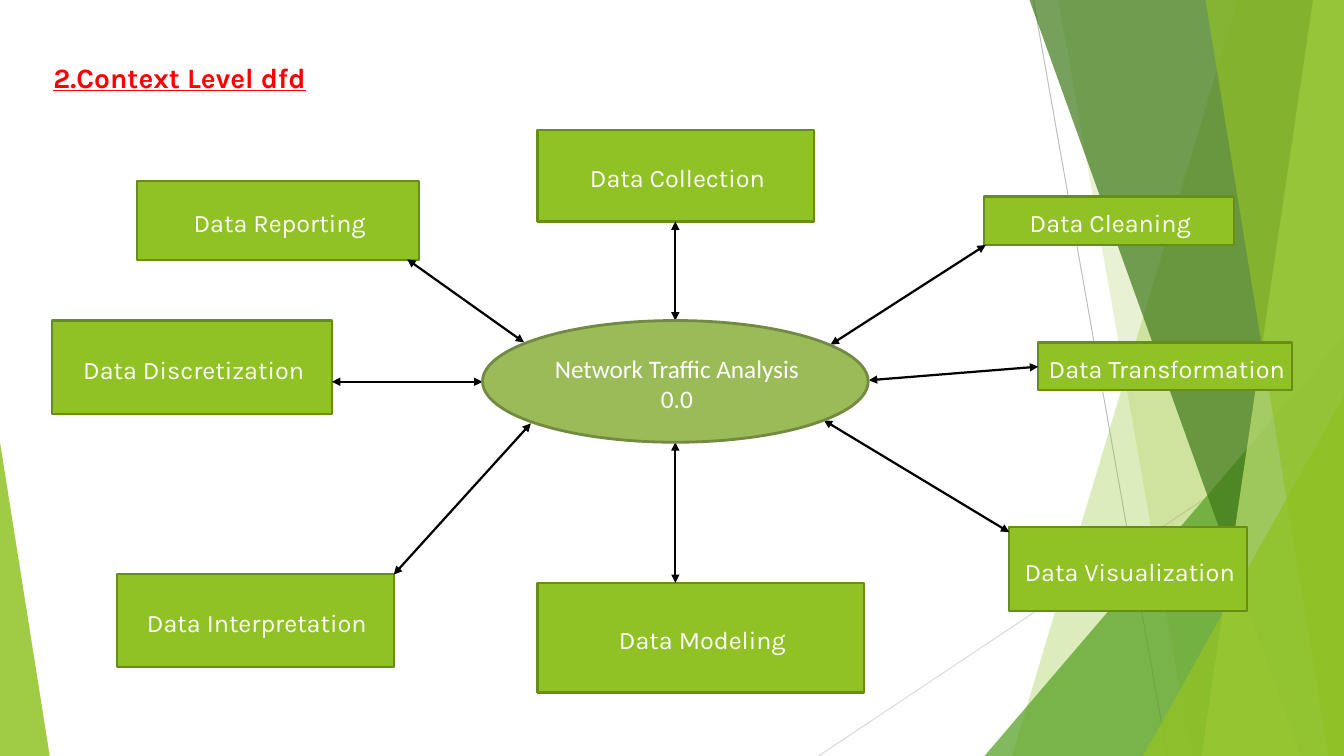
from dataclasses import dataclass

from lxml.etree import SubElement
from pptx import Presentation
from pptx.dml.color import RGBColor
from pptx.enum.shapes import MSO_CONNECTOR as Link, MSO_SHAPE as Preset
from pptx.enum.text import MSO_ANCHOR as Anchor, MSO_AUTO_SIZE as Fit, PP_ALIGN as Align
from pptx.oxml.ns import qn
from pptx.util import Inches, Pt

WIDTH, HEIGHT = Inches(13.333), Inches(7.5)


@dataclass(frozen=True)
class Theme:
    green: str = "90C225"
    green_edge: str = "688E18"
    olive: str = "9BBB59"
    olive_edge: str = "738A42"
    leaf: str = "539F20"
    forest: str = "3E7818"
    lime: str = "C0E374"
    white: str = "FFFFFF"
    black: str = "000000"
    red: str = "FF0000"
    grey: str = "BEBEBE"
    pale_grey: str = "D9D9D9"
    title_size: float = 20
    label_size: float = 18
    label_font: str = "Karla"
    hub_font: str = "Calibri"
    hairline: float = 0.72
    box_line: float = 1.56
    flow_line: float = 1.6
    hub_line: float = 2


THEME = Theme()

# All positions are percentages of the slide's width and height.
# Background facet: colour, opacity, upper and lower end of its slanted edge, side it fills to
FACETS = [
    (THEME.green, 30, (92.1, 0), (75.3, 100), 100),
    (THEME.green, 20, (78.75, 0), (88.65, 100), 100),
    (THEME.leaf, 72, (100, 44.4), (73.25, 100), 100),
    (THEME.forest, 70, (76.6, 0), (96.8, 100), 100),
    (THEME.lime, 70, (97.7, 0), (89.4, 100), 100),
    (THEME.green, 65, (89.7, 0), (98.85, 100), 100),
    (THEME.green, 80, (100, 52.4), (85.05, 100), 100),
    (THEME.green, 85, (0, 58.5), (3.7, 100), 0),
]
HAIRLINES = [
    (THEME.grey, (76.9, 0), (86.85, 100)),
    (THEME.pale_grey, (100, 53.7), (60.9, 100)),
]
HUB_AREA = (35.9, 42.4, 28.7, 16.1)
# Process: label, area, flow end at the hub, flow end at the box
PROCESSES = [
    ("Data Collection", (40, 17.2, 20.6, 12.1), (50.25, 42.4), (50.25, 29.3)),
    ("Data Cleaning", (73.2, 26, 18.6, 6.4), (61.8, 45.6), (73.35, 32.4)),
    ("Data Transformation", (77.25, 45.3, 18.9, 6.3), (64.65, 50.3), (77.25, 48.5)),
    ("Data Visualization", (75.1, 69.7, 17.7, 11.1), (61.3, 55.6), (75.1, 70.4)),
    ("Data Modeling", (40, 77.1, 24.3, 14.5), (50.25, 58.5), (50.25, 77.1)),
    ("Data Interpretation", (8.7, 75.9, 20.6, 12.3), (39.5, 56), (29.3, 76)),
    ("Data Discretization", (3.9, 42.4, 20.8, 12.4), (35.9, 50.5), (24.7, 50.5)),
    ("Data Reporting", (10.2, 23.9, 21, 10.5), (39, 45.3), (30.3, 34.3)),
]


def place(x, y):
    return int(WIDTH * x / 100), int(HEIGHT * y / 100)


def apply(target, values):
    for attribute, value in values.items():
        setattr(target, attribute, value)


def paint(shape, fill, edge=None, weight=0):
    shape.shadow.inherit = False
    shape.fill.solid()
    shape.fill.fore_color.rgb = RGBColor.from_string(fill)
    if edge:
        shape.line.color.rgb = RGBColor.from_string(edge)
        shape.line.width = Pt(weight)
    else:
        shape.line.fill.background()


def write(frame, lines, font, colour, frame_values, align=Align.CENTER):
    apply(frame, {"word_wrap": True, "auto_size": Fit.NONE, **frame_values})
    frame.text = "\n".join(lines)
    for paragraph in frame.paragraphs:
        paragraph.alignment = align
        for run in paragraph.runs:
            apply(run.font, font)
            run.font.color.rgb = RGBColor.from_string(colour)


def add_facet(slide, colour, opacity, upper, lower, side):
    builder = slide.shapes.build_freeform(*place(*upper), scale=1.0)
    corners = [lower, (side, 100), (side, upper[1])]
    builder.add_line_segments([place(*corner) for corner in corners], close=True)
    facet = builder.convert_to_shape()
    paint(facet, colour)
    tint = facet.fill._xPr.find(qn("a:solidFill"))[0]
    SubElement(tint, qn("a:alpha"), val=str(opacity * 1000))


def add_line(slide, start, end, colour, weight, arrows=False):
    line = slide.shapes.add_connector(Link.STRAIGHT, *place(*start), *place(*end))
    line.line.color.rgb = RGBColor.from_string(colour)
    line.line.width = Pt(weight)
    if arrows:
        for tip in ("a:headEnd", "a:tailEnd"):
            SubElement(line.line._get_or_add_ln(), qn(tip), type="triangle")
    SubElement(line._element.spPr, qn("a:effectLst"))


def add_title(slide, text):
    title = slide.shapes.title
    title.left, title.top = place(3.9, 7.7)
    title.width, title.height = place(19.2, 4.7)
    font = {"name": THEME.label_font, "size": Pt(THEME.title_size),
            "bold": True, "underline": True}
    frame_values = {"vertical_anchor": Anchor.TOP, "margin_left": Inches(0.01),
                    "margin_top": Inches(0.02), "margin_right": 0, "margin_bottom": 0}
    write(title.text_frame, [text], font, THEME.red, frame_values, Align.LEFT)


def add_node(slide, preset, area, lines, font_name, paint_values):
    node = slide.shapes.add_shape(preset, *place(*area[:2]), *place(*area[2:]))
    paint(node, *paint_values)
    font = {"name": font_name, "size": Pt(THEME.label_size)}
    frame_values = {"vertical_anchor": Anchor.MIDDLE, "margin_left": Inches(0.03),
                    "margin_top": Inches(0.04), "margin_right": 0, "margin_bottom": 0}
    write(node.text_frame, lines, font, THEME.white, frame_values)


def main():
    deck = Presentation()
    deck.slide_width, deck.slide_height = WIDTH, HEIGHT
    slide = deck.slides.add_slide(deck.slide_layouts[5])

    # Faceted background
    for colour, start, end in HAIRLINES:
        add_line(slide, start, end, colour, THEME.hairline)
    for facet in FACETS:
        add_facet(slide, *facet)

    # Title
    add_title(slide, "2.Context Level dfd")

    # Processes, their two-way flows, and the hub
    box_paint = (THEME.green, THEME.green_edge, THEME.box_line)
    for label, area, _, _ in PROCESSES:
        add_node(slide, Preset.RECTANGLE, area, [label], THEME.label_font, box_paint)
    for _, _, hub_end, box_end in PROCESSES:
        add_line(slide, hub_end, box_end, THEME.black, THEME.flow_line, arrows=True)
    add_node(slide, Preset.OVAL, HUB_AREA, ["Network Traffic Analysis", "0.0"],
             THEME.hub_font, (THEME.olive, THEME.olive_edge, THEME.hub_line))

    deck.save("out.pptx")


if __name__ == "__main__":
    main()
